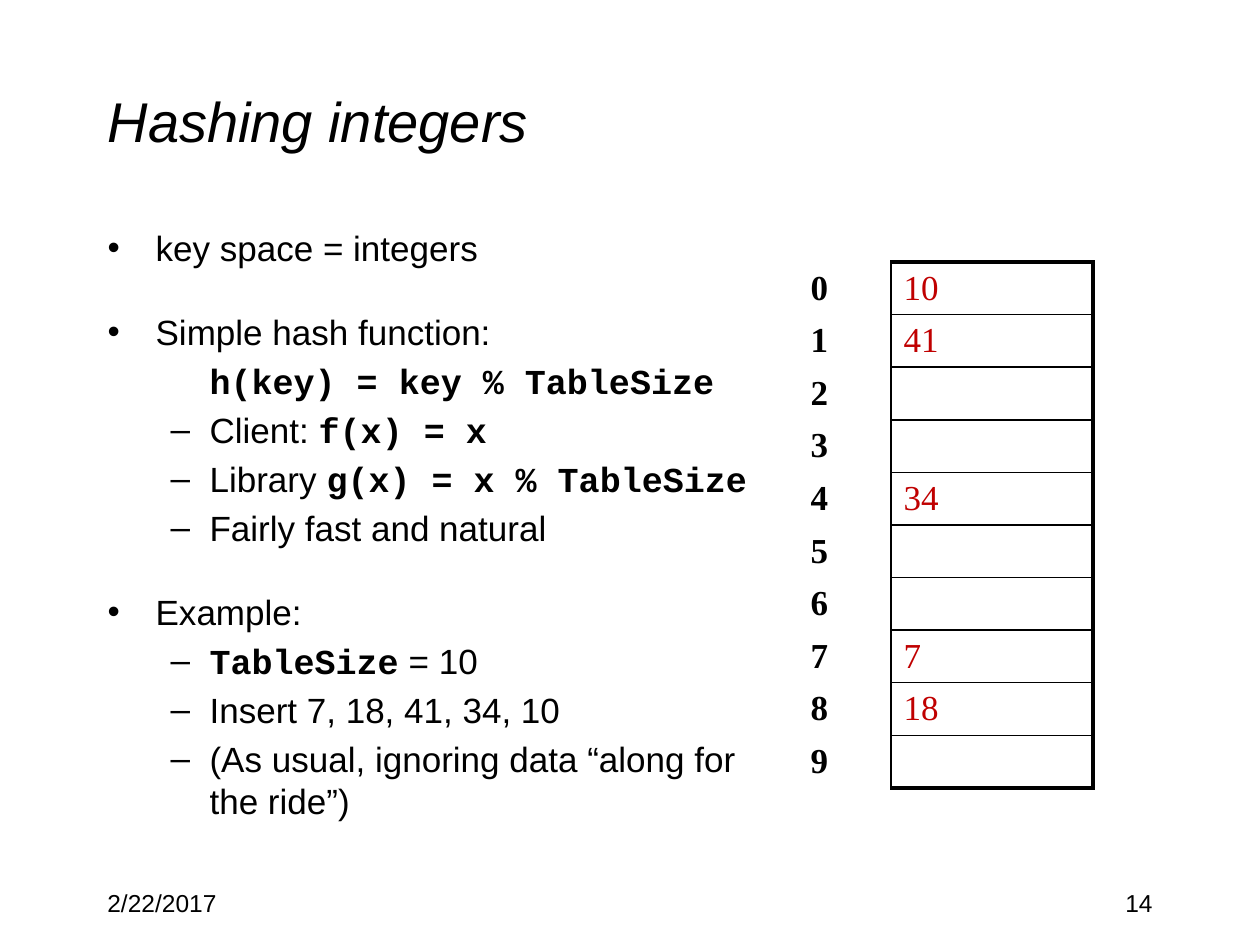
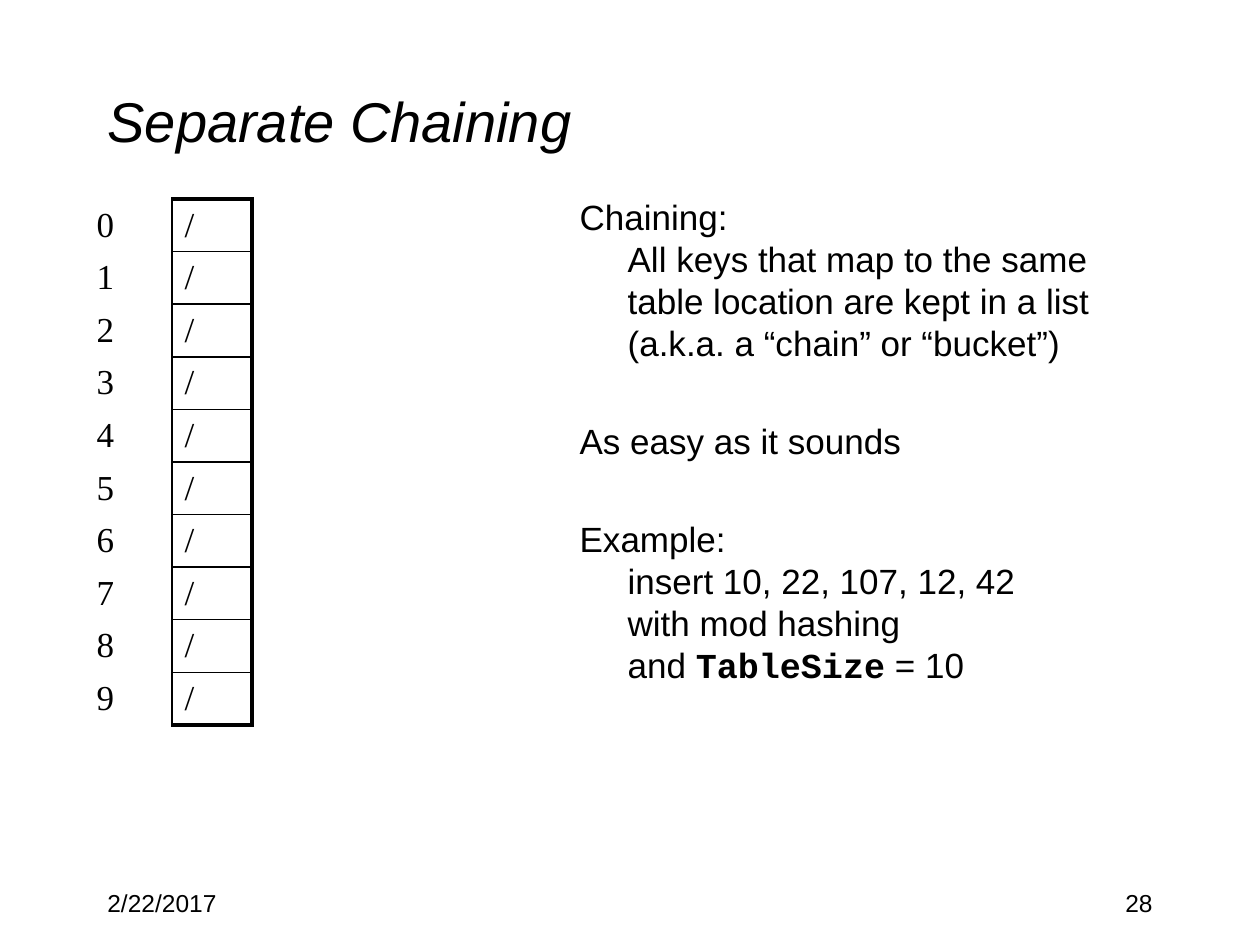
from dataclasses import dataclass
from typing import NamedTuple

from lxml import etree
from pptx import Presentation
from pptx.dml.color import RGBColor
from pptx.enum.text import MSO_ANCHOR, MSO_AUTO_SIZE, PP_ALIGN
from pptx.oxml.ns import qn
from pptx.util import Emu, Pt

BLACK = RGBColor(0x00, 0x00, 0x00)
RED = RGBColor(0xC0, 0x00, 0x00)
SANS, SERIF, MONO = "Arial", "Times New Roman", "Courier New"
LEFT, RIGHT = PP_ALIGN.LEFT, PP_ALIGN.RIGHT
TOP, MIDDLE = MSO_ANCHOR.TOP, MSO_ANCHOR.MIDDLE
NO_AUTOFIT = MSO_AUTO_SIZE.NONE
TITLE_AND_CONTENT = 1
PX_PER_INCH = 126
THIN, THICK = Pt(1), Pt(2.25)
TEXT_SIZE, FOOTER_SIZE, TITLE_SIZE = 20, 14, 32
LINE_GAP = 4
DATE = "2/22/2017"


class Box(NamedTuple):
    left: int
    top: int
    width: int
    height: int


TITLE_BOX = Box(95, 42, 1071, 157)
DATE_BOX = Box(95, 882, 262, 63)
NUMBER_BOX = Box(903, 882, 262, 63)


@dataclass(frozen=True)
class ListStyle:
    level: int
    margin: int
    hanging: int
    bullet: str = ""


TOPIC = ListStyle(0, 48, 48, "•")
DETAIL = ListStyle(1, 102, 39, "–")
FORMULA = ListStyle(1, 102, 0)
PLAIN = ListStyle(0, 48, 48)


@dataclass(frozen=True)
class Item:
    """One list paragraph; text between backticks is set as code."""
    text: str
    style: ListStyle
    gap: int = LINE_GAP


@dataclass(frozen=True)
class HashTable:
    box: Box
    index_width: int
    values: list[str]
    value_color: RGBColor = BLACK
    bold_index: bool = False


@dataclass(frozen=True)
class Page:
    title: str
    number: str
    body_box: Box
    items: list[Item]
    table: HashTable


PAGES = [
    Page(
        "Hashing integers", "14", Box(95, 220, 672, 651),
        [
            Item("key space = integers", TOPIC),
            Item("Simple hash function:", TOPIC, 24),
            Item("`h(key) = key % TableSize`", FORMULA),
            Item("Client: `f(x) = x`", DETAIL),
            Item("Library `g(x) = x % TableSize`", DETAIL),
            Item("Fairly fast and natural", DETAIL),
            Item("Example:", TOPIC, 24),
            Item("`TableSize` = 10", DETAIL),
            Item("Insert 7, 18, 41, 34, 10", DETAIL),
            Item("(As usual, ignoring data “along for the ride”)", DETAIL),
        ],
        HashTable(Box(798, 262, 295, 526), 93,
                  ["10", "41", "", "", "34", "", "", "7", "18", ""], RED, True),
    ),
    Page(
        "Separate Chaining", "28", Box(567, 189, 662, 620),
        [
            Item("Chaining:\nAll keys that map to the same\n"
                 "table location are kept in a list\n"
                 "(a.k.a. a “chain” or “bucket”)", PLAIN),
            Item("As easy as it sounds", PLAIN, 32),
            Item("Example:\ninsert 10, 22, 107, 12, 42\nwith mod hashing\n"
                 "and `TableSize` = 10", PLAIN, 32),
        ],
        HashTable(Box(84, 199, 168, 526), 88, ["/"] * 10),
    ),
]


def px(length: int) -> Emu:
    return Emu(round(length * 914400 / PX_PER_INCH))


def place(shape, box: Box) -> None:
    shape.left, shape.top, shape.width, shape.height = map(px, box)


def set_font(font, name: str, size: int, color: RGBColor = BLACK,
             bold: bool = False, italic: bool = False) -> None:
    font.name, font.size, font.bold, font.italic = name, Pt(size), bold, italic
    font.color.rgb = color


def add_title(slide, text: str) -> None:
    title = slide.shapes.title
    place(title, TITLE_BOX)
    frame = title.text_frame
    frame.auto_size, frame.vertical_anchor = NO_AUTOFIT, MIDDLE
    frame.text = text
    para = frame.paragraphs[0]
    para.alignment = LEFT
    set_font(para.font, SANS, TITLE_SIZE, italic=True)


def add_footer(slide, box: Box, text: str, alignment) -> None:
    frame = slide.shapes.add_textbox(*map(px, box)).text_frame
    frame.word_wrap = True
    frame.text = text
    para = frame.paragraphs[0]
    para.alignment = alignment
    set_font(para.font, SANS, FOOTER_SIZE)


def set_list_style(para, style: ListStyle) -> None:
    para.level = style.level
    properties = para._p.get_or_add_pPr()
    properties.set("marL", str(px(style.margin)))
    properties.set("indent", str(-px(style.hanging)))
    if style.bullet:
        etree.SubElement(properties, qn("a:buChar"), char=style.bullet)
    else:
        etree.SubElement(properties, qn("a:buNone"))


def add_spans(para, text: str) -> None:
    for part_index, part in enumerate(text.split("`")):
        for line_index, line in enumerate(part.split("\n")):
            if line_index:
                para.add_line_break()
            if line:
                span = para.add_run()
                span.text = line
                if part_index % 2:
                    span.font.name, span.font.bold = MONO, True


def add_list(slide, box: Box, items: list[Item]) -> None:
    body = slide.placeholders[1]
    place(body, box)
    frame = body.text_frame
    frame.auto_size, frame.vertical_anchor = NO_AUTOFIT, TOP
    for index, item in enumerate(items):
        para = frame.add_paragraph() if index else frame.paragraphs[0]
        set_list_style(para, item.style)
        para.alignment = LEFT
        para.space_before = Pt(item.gap)
        set_font(para.font, SANS, TEXT_SIZE)
        add_spans(para, item.text)


def set_borders(cell, left: int, right: int, top: int, bottom: int) -> None:
    """Draw the four cell borders; a width of 0 leaves a side open."""
    properties = cell._tc.get_or_add_tcPr()
    for side, width in zip("LRTB", (left, right, top, bottom)):
        line = etree.SubElement(properties, qn(f"a:ln{side}"), w=str(int(width)))
        if width:
            fill = etree.SubElement(line, qn("a:solidFill"))
            etree.SubElement(fill, qn("a:srgbClr"), val=str(BLACK))
        else:
            etree.SubElement(line, qn("a:noFill"))


def fill_cell(cell, text: str, color: RGBColor, bold: bool) -> None:
    cell.fill.background()
    cell.vertical_anchor = MIDDLE
    cell.margin_top = cell.margin_bottom = 0
    cell.text = text
    set_font(cell.text_frame.paragraphs[0].font, SERIF, TEXT_SIZE, color, bold)


def add_hash_table(slide, spec: HashTable) -> None:
    count = len(spec.values)
    table = slide.shapes.add_table(count, 2, *map(px, spec.box)).table
    table.first_row = table.horz_banding = False
    table.columns[0].width = px(spec.index_width)
    table.columns[1].width = px(spec.box.width - spec.index_width)
    for row, value in enumerate(spec.values):
        table.rows[row].height = Emu(px(spec.box.height) // count)
        index_cell, value_cell = table.cell(row, 0), table.cell(row, 1)
        set_borders(index_cell, 0, THIN, 0, 0)
        set_borders(value_cell, THIN, THICK,
                    THIN if row else THICK,
                    THIN if row < count - 1 else THICK)
        fill_cell(index_cell, str(row), BLACK, spec.bold_index)
        fill_cell(value_cell, value, spec.value_color, False)


def add_page(deck, page: Page) -> None:
    slide = deck.slides.add_slide(deck.slide_layouts[TITLE_AND_CONTENT])
    add_title(slide, page.title)
    add_list(slide, page.body_box, page.items)
    add_footer(slide, DATE_BOX, DATE, LEFT)
    add_footer(slide, NUMBER_BOX, page.number, RIGHT)
    add_hash_table(slide, page.table)


def main() -> None:
    deck = Presentation()
    deck.slide_width, deck.slide_height = px(1260), px(945)
    for page in PAGES:
        add_page(deck, page)
    deck.save("out.pptx")


if __name__ == "__main__":
    main()
